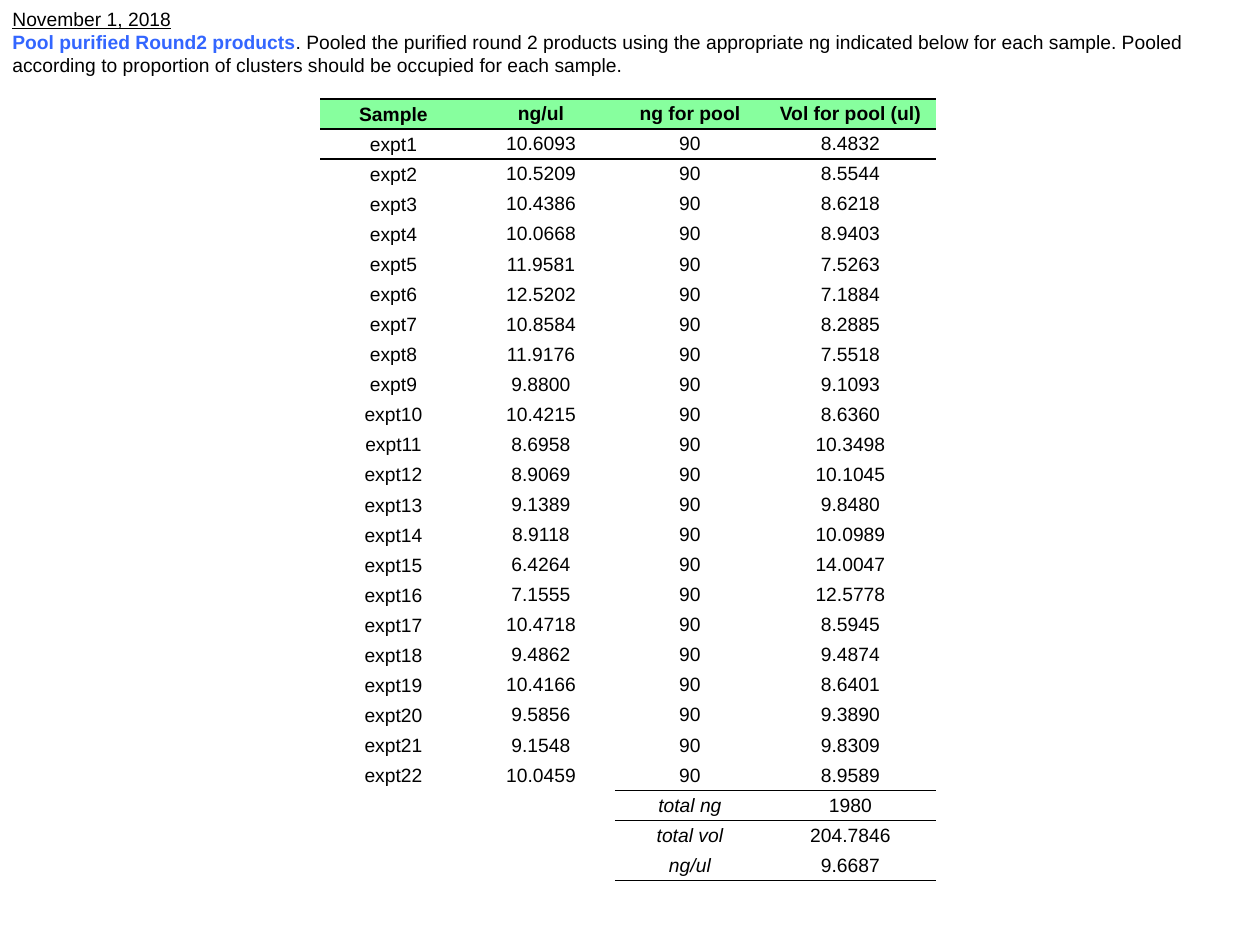
from lxml.etree import SubElement
from pptx import Presentation
from pptx.dml.color import RGBColor
from pptx.enum.text import MSO_ANCHOR, PP_ALIGN
from pptx.oxml.ns import qn
from pptx.util import Pt

PX = 914400 / 126  # EMU per px
BLACK = RGBColor(0x00, 0x00, 0x00)
BLUE = RGBColor(0x33, 0x66, 0xFF)
GREEN = RGBColor(0x87, 0xFF, 0x9E)
FONT, SIZE = "Arial", Pt(11)
NO_STYLE = "{2D5ABB26-0587-4C30-8999-92F81FD0307C}"

COLUMN_WIDTHS = [147, 148, 150, 171]
HEADER = ["Sample", "ng/ul", "ng for pool", "Vol for pool (ul)"]
POOL_NG = "90"
SAMPLES = [  # concentration, volume for pool
    ("10.6093", "8.4832"), ("10.5209", "8.5544"), ("10.4386", "8.6218"),
    ("10.0668", "8.9403"), ("11.9581", "7.5263"), ("12.5202", "7.1884"),
    ("10.8584", "8.2885"), ("11.9176", "7.5518"), ("9.8800", "9.1093"),
    ("10.4215", "8.6360"), ("8.6958", "10.3498"), ("8.9069", "10.1045"),
    ("9.1389", "9.8480"), ("8.9118", "10.0989"), ("6.4264", "14.0047"),
    ("7.1555", "12.5778"), ("10.4718", "8.5945"), ("9.4862", "9.4874"),
    ("10.4166", "8.6401"), ("9.5856", "9.3890"), ("9.1548", "9.8309"),
    ("10.0459", "8.9589"),
]
TOTALS = [("total ng", "1980"), ("total vol", "204.7846"), ("ng/ul", "9.6687")]


def px(length):
    return round(length * PX)


def style(span, color=BLACK, bold=False, italic=False, underline=False):
    font = span.font
    font.name, font.size, font.color.rgb = FONT, SIZE, color
    font.bold, font.italic, font.underline = bold, italic, underline


def add_border(cell, side):
    line = SubElement(cell._tc.get_or_add_tcPr(), qn(f"a:ln{side}"), w=str(Pt(1)))
    fill = SubElement(line, qn("a:solidFill"))
    SubElement(fill, qn("a:srgbClr"), val=str(BLACK))


def add_notes_text(page, left, top, width, height):
    box = page.shapes.add_textbox(px(left), px(top), px(width), px(height))
    frame = box.text_frame
    frame.word_wrap = True
    date = frame.paragraphs[0]
    date.text = "November 1, 2018"
    style(date.runs[0], underline=True)

    para = frame.add_paragraph()
    step, details = para.add_run(), para.add_run()
    step.text = "Pool purified Round2 products"
    style(step, BLUE, bold=True)
    details.text = (
        ". Pooled the purified round 2 products using the appropriate ng "
        "indicated below for each sample. Pooled according to proportion of "
        "clusters should be occupied for each sample."
    )
    style(details)


def fill_cell(cell, text, bold, italic, inset):
    cell.vertical_anchor = MSO_ANCHOR.MIDDLE
    cell.margin_left = cell.margin_right = px(1)
    cell.margin_top, cell.margin_bottom = (px(side) for side in inset)
    para = cell.text_frame.paragraphs[0]
    para.alignment = PP_ALIGN.CENTER
    if text:
        para.text = text
        style(para.runs[0], bold=bold, italic=italic)
    else:  # keeps an empty cell from stretching its row
        SubElement(para._p, qn("a:endParaRPr"), sz="1100")


def add_pool_table(page, left, top, width, height):
    rows = [HEADER]
    rows += [(f"expt{number}", concentration, POOL_NG, volume)
             for number, (concentration, volume) in enumerate(SAMPLES, 1)]
    rows += [("", "", label, value) for label, value in TOTALS]
    last_sample, last_row = len(SAMPLES), len(rows) - 1

    frame = page.shapes.add_table(len(rows), len(HEADER),
                                  px(left), px(top), px(width), px(height))
    table = frame.table
    table.first_row = table.horz_banding = False
    table._tbl.tblPr.find(qn("a:tableStyleId")).text = NO_STYLE
    for column, column_width in zip(table.columns, COLUMN_WIDTHS):
        column.width = px(column_width)

    for r, values in enumerate(rows):
        table.rows[r].height = px(height / len(rows))
        is_header, is_total = r == 0, r > last_sample
        for c, text in enumerate(values):
            cell = table.cell(r, c)
            centred = c > 0 and not is_total
            fill_cell(cell, text, bold=is_header, italic=is_total and c == 2,
                      inset=(3, 3) if centred else (1, 0))
            # Rules around the header, and around the totals on the right
            if r in (0, 1) or (r == last_sample + 1 and c >= 2):
                add_border(cell, "T")
            if is_header or (r in (last_sample, last_row) and c >= 2):
                add_border(cell, "B")
            if is_header:
                cell.fill.solid()
                cell.fill.fore_color.rgb = GREEN
            else:
                cell.fill.background()


def main():
    deck = Presentation()
    deck.slide_width, deck.slide_height = px(1260), px(945)
    page = deck.slides.add_slide(deck.slide_layouts[6])
    add_notes_text(page, 0, 1, 1260, 782)
    add_pool_table(page, 320, 99, sum(COLUMN_WIDTHS), 782)
    deck.save("out.pptx")


if __name__ == "__main__":
    main()
